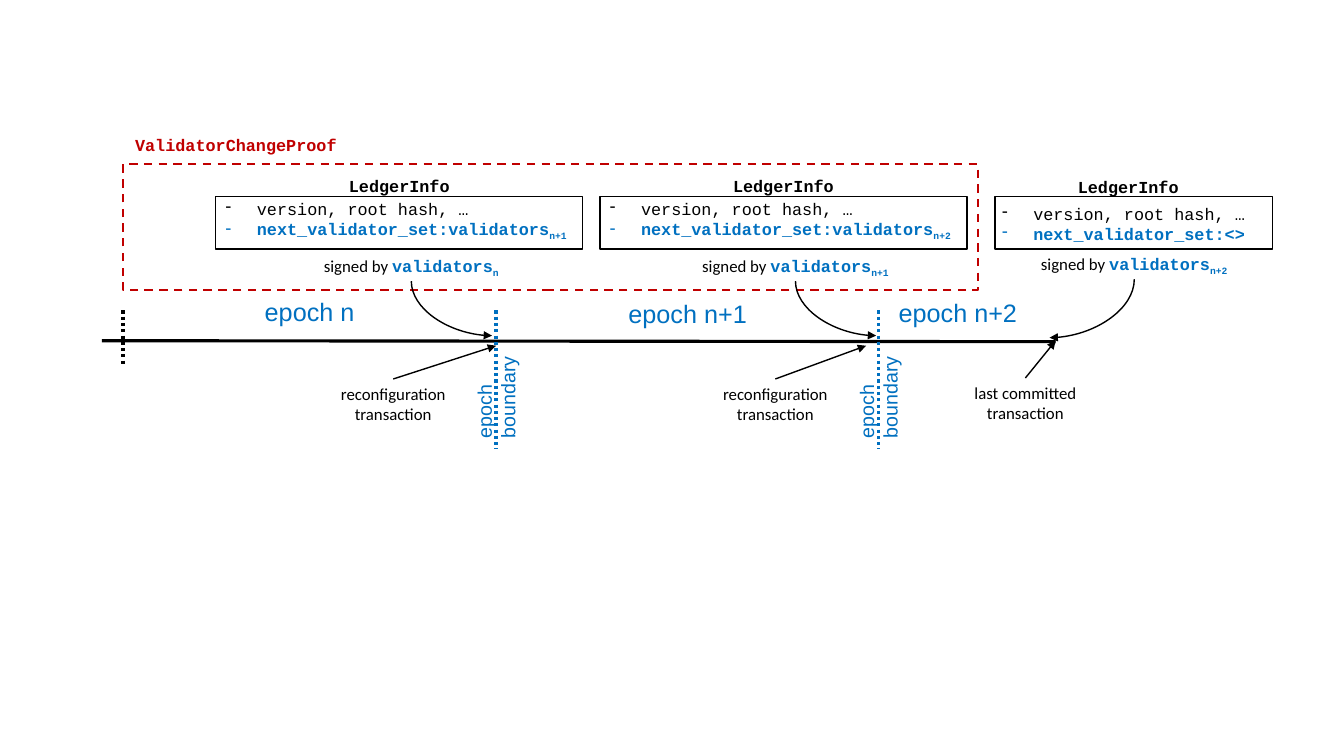
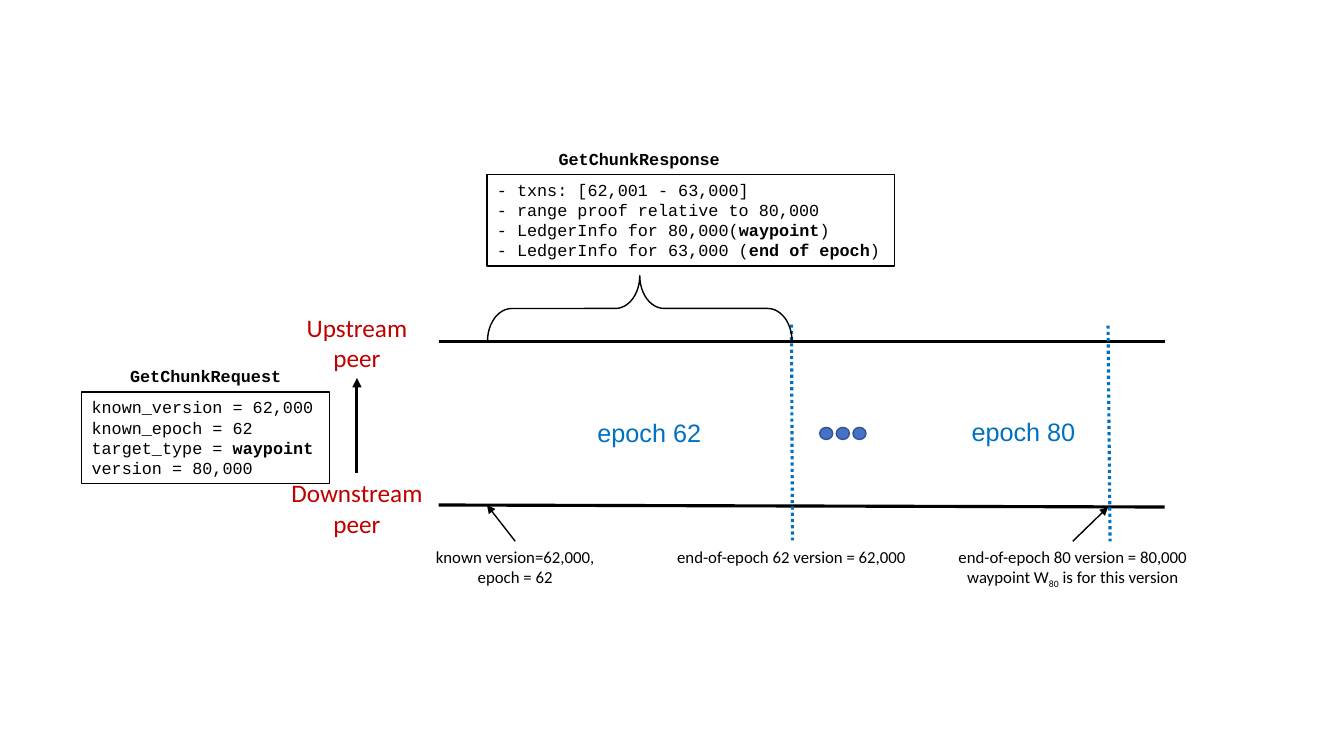
from pptx import Presentation
from pptx.dml.color import RGBColor
from pptx.enum.dml import MSO_LINE
from pptx.enum.shapes import MSO_CONNECTOR, MSO_SHAPE
from pptx.enum.text import MSO_ANCHOR, MSO_AUTO_SIZE, PP_ALIGN
from pptx.oxml.ns import qn
from pptx.util import Inches, Pt
from lxml.etree import SubElement

BLACK = RGBColor(0, 0, 0)
BLUE = RGBColor(0x00, 0x70, 0xC0)
RED = RGBColor(0xC0, 0x00, 0x00)
DOT = RGBColor(0x44, 0x72, 0xC4)
DOT_EDGE = RGBColor(0x32, 0x54, 0x91)
CODE, BODY, EPOCH = "Courier New", "Calibri", "Arial"
BOLD = dict(bold=True)
KEY = dict(font=CODE, color=BLUE, bold=True)
SUB = dict(KEY, base=-25)

LEDGERS = [
    dict(title=(3.96, 1.69), box=(2.14, 1.95, 3.64, 0.52), body=(2.14, 1.92, 3.64, 0.5),
         value="validators", next="n+1", signer="n", signed=(4.08, 2.49), target=(4.88, 3.33)),
    dict(title=(7.77, 1.69), box=(5.95, 1.95, 3.64, 0.52), body=(5.95, 1.92, 3.64, 0.5),
         value="validators", next="n+2", signer="n+1", signed=(7.89, 2.49), target=(8.69, 3.33)),
    dict(title=(11.19, 1.7), box=(9.87, 1.95, 2.75, 0.52), body=(9.84, 1.97, 2.66, 0.5),
         value="<>", next="", signer="n+2", signed=(11.25, 2.47), target=(10.41, 3.35)),
]
EPOCHS = [("epoch n", 3.07, 2.89), ("epoch n+1", 6.82, 2.91), ("epoch n+2", 9.5, 2.9)]
BOUNDARIES = [(4.92, 4.92), (8.71, 8.59)]
EVENTS = [
    (["known version=62,000,", "epoch = 62"], 5.11, 1.8),
    (["end-of-epoch 62 version = 62,000"], 7.85, 2.5),
    (["end-of-epoch 80 version = 80,000",
      ["waypoint W", ("80", dict(base=-25)), " is for this version"]], 10.64, 2.68),
]
EVENT_ARROWS = [((5.11, 5.37), (4.83, 5.01)), ((10.64, 5.37), (10.99, 5.03))]
PEERS = [("Upstream", 3.05), ("Downstream", 4.69)]
CHUNK_EPOCHS = [("epoch 62", 6.44, 4.09), ("epoch 80", 10.15, 4.08)]
TIMELINES = [((4.35, 5.01), (11.55, 5.03)), ((4.35, 3.39), (11.55, 3.39))]
CHUNK_BOUNDARIES = [((7.85, 3.22), (7.86, 5.36)), ((10.99, 3.23), (11.01, 5.37))]
MESSAGES = [
    ("GetChunkRequest", (2.04, 3.58), (0.81, 3.89, 2.46, 0.91),
     ["known_version = 62,000", "known_epoch = 62",
      ["target_type = ", ("waypoint", BOLD)], "version = 80,000"]),
    ("GetChunkResponse", (6.34, 1.43), (4.83, 1.73, 4.04, 0.91),
     ["- txns: [62,001 - 63,000]", "- range proof relative to 80,000",
      ["- LedgerInfo for 80,000(", ("waypoint", BOLD), ")"],
      ["- LedgerInfo for 63,000 (", ("end of epoch", BOLD), ")"]]),
]


def shape(s, kind, at, color=BLACK, width=1, dash=None, fill=None):
    sp = s.shapes.add_shape(kind, *map(Inches, at))
    sp.shadow.inherit = False
    if fill is None:
        sp.fill.background()
    else:
        sp.fill.solid()
        sp.fill.fore_color.rgb = fill
    sp.line.color.rgb, sp.line.width = color, Pt(width)
    if dash:
        sp.line.dash_style = dash
    return sp


def text(s, paras, at=None, sp=None, size=12, font=BODY, color=BLACK, bold=False,
         align=PP_ALIGN.CENTER, wrap=False, bullet=False, rotation=0):
    if sp is None:
        sp = s.shapes.add_textbox(*map(Inches, at))
    sp.rotation = rotation
    tf = sp.text_frame
    tf.word_wrap = wrap
    tf.auto_size = MSO_AUTO_SIZE.SHAPE_TO_FIT_TEXT
    tf.vertical_anchor = MSO_ANCHOR.TOP
    for i, runs in enumerate(paras):
        p = tf.add_paragraph() if i else tf.paragraphs[0]
        p.alignment = align
        if bullet:
            pPr = p._p.get_or_add_pPr()
            pPr.set("marL", str(Inches(0.31)))
            pPr.set("indent", str(-Inches(0.31)))
            SubElement(pPr, qn("a:buChar")).set("char", "-")
        for run in [runs] if isinstance(runs, str) else runs:
            words, own = (run, {}) if isinstance(run, str) else run
            f = dict(dict(font=font, color=color, bold=bold, base=0), **own)
            r = p.add_run()
            r.text = words
            r.font.name, r.font.size, r.font.bold = f["font"], Pt(size), f["bold"]
            r.font.color.rgb = f["color"]
            if f["base"]:
                r._r.get_or_add_rPr().set("baseline", str(f["base"] * 1000))


def label(s, paras, x, y, w, h=0.3, **fmt):
    text(s, paras, (x - w / 2, y, w, h), **fmt)


def line(s, a, b, color=BLACK, width=1, dash=None, arrow=False, kind=MSO_CONNECTOR.STRAIGHT):
    c = s.shapes.add_connector(kind, *map(Inches, a + b))
    c.line.color.rgb, c.line.width = color, Pt(width)
    if dash:
        c.line.dash_style = dash
    if arrow:
        SubElement(c.line._get_or_add_ln(), qn("a:tailEnd")).set("type", "triangle")
    SubElement(c._element.spPr, qn("a:effectLst"))
    return c


def curve(s, a, b):
    dx, dy = b[0] - a[0], b[1] - a[1]
    cx, cy = a[0] + dx / 2, a[1] + dy / 2
    half = -dy / 2 if dx > 0 else dy / 2
    c = line(s, (cx - half, cy - abs(dx) / 2), (cx + half, cy + abs(dx) / 2),
             arrow=True, kind=MSO_CONNECTOR.CURVE)
    spPr = c._element.spPr
    spPr.find(qn("a:prstGeom")).set("prst", "curvedConnector2")
    spPr.find(qn("a:xfrm")).set("rot", str((270 if dx > 0 else 90) * 60000))


def validator_change_proof(s):
    line(s, (1.01, 3.38), (10.47, 3.39), width=2.25)
    line(s, (1.22, 3.08), (1.22, 3.62), width=2.25, dash=MSO_LINE.ROUND_DOT)
    shape(s, MSO_SHAPE.RECTANGLE, (1.22, 1.63, 8.48, 1.25), RED, 1.5, MSO_LINE.DASH)
    label(s, ["ValidatorChangeProof"], 2.34, 1.29, 2.24, font=CODE, color=RED, bold=True)
    for d in LEDGERS:
        label(s, ["LedgerInfo"], *d["title"], 1.22, font=CODE, bold=True)
        shape(s, MSO_SHAPE.RECTANGLE, d["box"])
        following = [("next_validator_set:" + d["value"], KEY)]
        if d["next"]:
            following.append((d["next"], SUB))
        text(s, ["version, root hash, …", following], d["body"], font=CODE,
             align=PP_ALIGN.LEFT, wrap=True, bullet=True)
        x, y = d["signed"]
        label(s, [["signed by ", ("validators", KEY), (d["signer"], SUB)]], x, y, 2.1)
        curve(s, (x, y + 0.3), d["target"])
    for name, x, y in EPOCHS:
        label(s, [name], x, y, 1.39, 0.4, size=18, font=EPOCH, color=BLUE)
    for x, tip in BOUNDARIES:
        line(s, (x, 3.08), (x, 4.45), BLUE, 2.25, MSO_LINE.ROUND_DOT)
        label(s, ["epoch", "boundary"], x, 3.65, 1.02, 0.57, size=14, font=EPOCH,
              color=BLUE, align=PP_ALIGN.LEFT, rotation=270)
        label(s, ["reconfiguration", "transaction"], x - 1.02, 3.76, 1.25, 0.5, wrap=True)
        line(s, (x - 1.02, 3.76), (tip, 3.43), arrow=True)
    label(s, ["last committed", "transaction"], 10.17, 3.75, 1.23, 0.5)
    line(s, (10.17, 3.75), (10.47, 3.38), arrow=True)


def chunk_exchange(s):
    for a, b in TIMELINES:
        line(s, a, b, width=2.25)
    for a, b in CHUNK_BOUNDARIES:
        line(s, a, b, BLUE, 2.25, MSO_LINE.ROUND_DOT)
    for paras, x, w in EVENTS:
        label(s, paras, x, 5.37, w, 0.1 + 0.2 * len(paras))
    for a, b in EVENT_ARROWS:
        line(s, a, b, arrow=True)
    for name, x, y in CHUNK_EPOCHS:
        label(s, [name], x, y, 1.24, 0.4, size=18, font=EPOCH, color=BLUE)
    for name, y in PEERS:
        label(s, [name, "peer"], 3.54, y, 1.52, 0.71, size=18, color=RED)
    line(s, (3.54, 4.69), (3.54, 3.75), width=2.25, arrow=True)
    for i in range(3):
        shape(s, MSO_SHAPE.OVAL, (8.13 + i * 0.165, 4.24, 0.13, 0.12), DOT_EDGE, fill=DOT)
    brace = shape(s, MSO_SHAPE.LEFT_BRACE, (6.02, 1.55, 0.65, 3.02))
    brace.rotation = 90
    brace.adjustments[0], brace.adjustments[1] = 0.371, 0.5
    for title, at, box, paras in MESSAGES:
        label(s, [title], *at, 1.83, font=CODE, bold=True)
        text(s, paras, sp=shape(s, MSO_SHAPE.RECTANGLE, box), font=CODE,
             align=PP_ALIGN.LEFT, wrap=True)


prs = Presentation()
prs.slide_width, prs.slide_height = Inches(13.33), Inches(7.5)
for draw in (validator_change_proof, chunk_exchange):
    draw(prs.slides.add_slide(prs.slide_layouts[6]))
prs.save("out.pptx")
